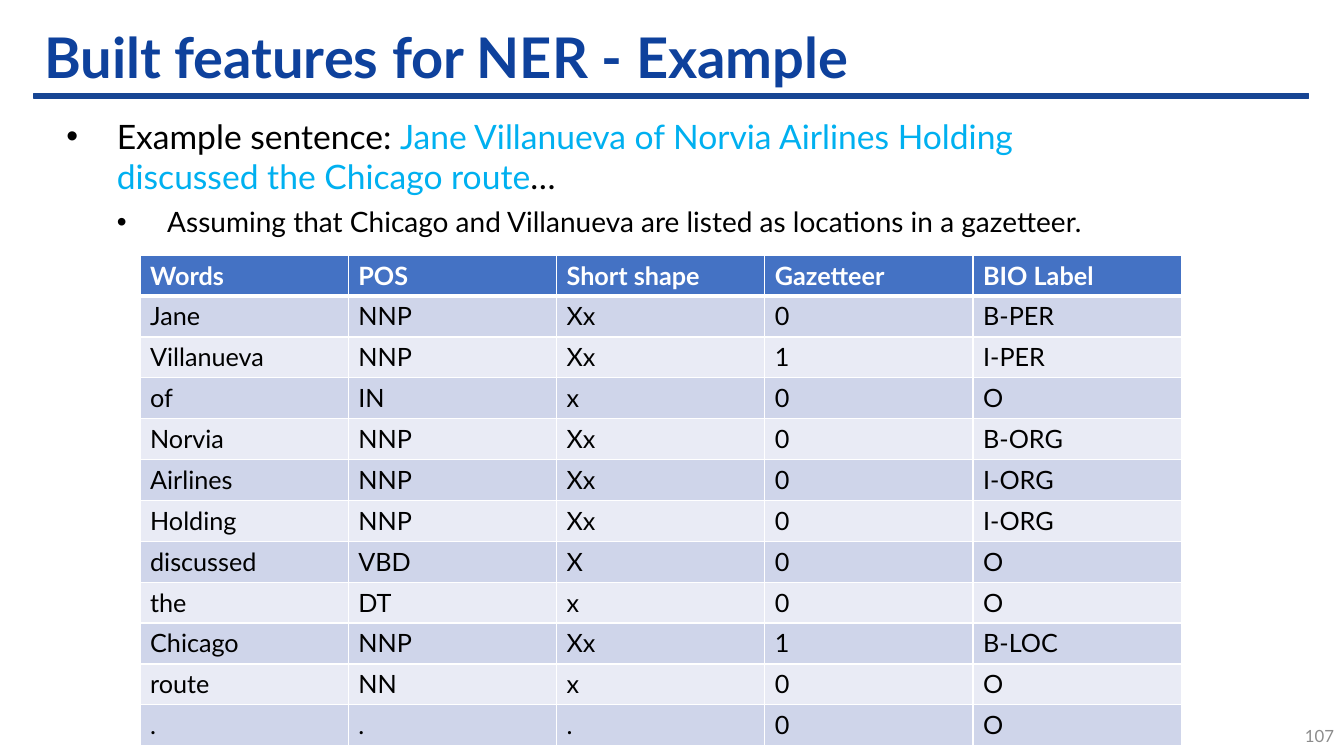
from lxml import etree
from pptx import Presentation
from pptx import util as u
from pptx.dml.color import RGBColor
from pptx.enum import shapes, text
from pptx.oxml.ns import qn

FONT = "Lato"
TITLE_BLUE = RGBColor(0x0E, 0x41, 0x9C)
RULE_BLUE = RGBColor(0x17, 0x45, 0x93)
SENTENCE_BLUE = RGBColor(0x00, 0xB0, 0xF0)
HEADER_BLUE = RGBColor(0x44, 0x72, 0xC4)
BANDS = (RGBColor(0xCF, 0xD5, 0xEA), RGBColor(0xE9, 0xEB, 0xF5))
GREY = RGBColor(0x8C, 0x8C, 0x8C)
BLACK = RGBColor(0, 0, 0)
WHITE = RGBColor(0xFF, 0xFF, 0xFF)

FEATURES = [
    ("Words", "POS", "Short shape", "Gazetteer", "BIO Label"),
    ("Jane", "NNP", "Xx", "0", "B-PER"),
    ("Villanueva", "NNP", "Xx", "1", "I-PER"),
    ("of", "IN", "x", "0", "O"),
    ("Norvia", "NNP", "Xx", "0", "B-ORG"),
    ("Airlines", "NNP", "Xx", "0", "I-ORG"),
    ("Holding", "NNP", "Xx", "0", "I-ORG"),
    ("discussed", "VBD", "X", "0", "O"),
    ("the", "DT", "x", "0", "O"),
    ("Chicago", "NNP", "Xx", "1", "B-LOC"),
    ("route", "NN", "x", "0", "O"),
    (".", ".", ".", "0", "O"),
]

SENTENCE = [
    ("Example sentence: ", BLACK),
    ("Jane Villanueva of Norvia Airlines Holding discussed the Chicago route",
     SENTENCE_BLUE),
    ("…", BLACK),
]
ASSUMPTION = [
    ("Assuming that Chicago and Villanueva are listed as locations in a gazetteer.",
     BLACK),
]


def place(part, left, top, width, height):
    part.left, part.top = u.Cm(left), u.Cm(top)
    part.width, part.height = u.Cm(width), u.Cm(height)


def add_run(paragraph, words, size, color, bold=False):
    run = paragraph.add_run()
    run.text = words
    run.font.name = FONT
    run.font.size = u.Pt(size)
    run.font.bold = bold
    run.font.color.rgb = color


def set_bullet(paragraph, indent):
    props = paragraph._p.get_or_add_pPr()
    props.set("marL", str(u.Cm(indent)))
    props.set("indent", str(u.Cm(-1.27)))
    etree.SubElement(props, qn("a:buFont")).set("typeface", "Arial")
    etree.SubElement(props, qn("a:buChar")).set("char", "•")


def set_borders(cell, bottom_width):
    props = cell._tc.get_or_add_tcPr()
    for side, width in (("L", 1), ("R", 1), ("T", 1), ("B", bottom_width)):
        line = etree.SubElement(props, qn(f"a:ln{side}"), w=str(u.Pt(width)))
        fill = etree.SubElement(line, qn("a:solidFill"))
        etree.SubElement(fill, qn("a:srgbClr")).set("val", str(WHITE))


def build_heading(slide, left, top, width, height):
    # Rule along the lower edge of the title
    rule = slide.shapes.add_shape(
        shapes.MSO_SHAPE.RECTANGLE,
        u.Cm(left), u.Cm(top + height), u.Cm(width), u.Cm(0.13))
    rule.shadow.inherit = False
    rule.fill.solid()
    rule.fill.fore_color.rgb = RULE_BLUE
    rule.line.color.rgb = RULE_BLUE
    rule.line.width = u.Pt(1)

    # Title
    title = slide.shapes.title
    place(title, left, top, width, height)
    frame = title.text_frame
    frame.auto_size = text.MSO_AUTO_SIZE.NONE
    frame.vertical_anchor = text.MSO_ANCHOR.MIDDLE
    heading = frame.paragraphs[0]
    heading.alignment = text.PP_ALIGN.LEFT
    heading.line_spacing = 0.9
    add_run(heading, "Built features for NER - Example", 40, TITLE_BLUE, True)


def build_sentence(slide, left, top, width, height):
    body = slide.placeholders[1]
    place(body, left, top, width, height)
    frame = body.text_frame
    frame.word_wrap = True
    frame.auto_size = text.MSO_AUTO_SIZE.SHAPE_TO_FIT_TEXT
    frame.vertical_anchor = text.MSO_ANCHOR.TOP
    points = (frame.paragraphs[0], frame.add_paragraph())
    for level, (point, runs, size) in enumerate(
            zip(points, (SENTENCE, ASSUMPTION), (24, 20))):
        point.level = level
        point.space_before = u.Pt(0)
        point.space_after = u.Pt(6)
        set_bullet(point, 1.27 * (level + 1))
        for words, color in runs:
            add_run(point, words, size, color)


def build_features(slide, left, top, width, height):
    rows, columns = len(FEATURES), len(FEATURES[0])
    table = slide.shapes.add_table(
        rows, columns, u.Cm(left), u.Cm(top), u.Cm(width), u.Cm(height)).table
    for r, values in enumerate(FEATURES):
        header = r == 0
        for c, value in enumerate(values):
            cell = table.cell(r, c)
            set_borders(cell, 3 if header else 1)
            cell.fill.solid()
            cell.fill.fore_color.rgb = HEADER_BLUE if header else BANDS[(r - 1) % 2]
            add_run(cell.text_frame.paragraphs[0], value, 18,
                    WHITE if header else BLACK, header)


def build_page_number(slide, left, top, width, height):
    number = slide.shapes.add_textbox(
        u.Cm(left), u.Cm(top), u.Cm(width), u.Cm(height))
    frame = number.text_frame
    frame.word_wrap = True
    frame.vertical_anchor = text.MSO_ANCHOR.MIDDLE
    frame.paragraphs[0].alignment = text.PP_ALIGN.RIGHT
    add_run(frame.paragraphs[0], "107", 12, GREY)


def main():
    deck = Presentation()
    deck.slide_width, deck.slide_height = u.Cm(33.87), u.Cm(19.05)
    slide = deck.slides.add_slide(deck.slide_layouts[1])
    build_heading(slide, 0.86, 0.66, 32.11, 1.7)
    build_page_number(slide, 32.17, 18.03, 1.7, 1.02)
    build_sentence(slide, 1.42, 2.79, 26.24, 3.38)
    build_features(slide, 3.53, 6.43, 26.24, 12.37)
    deck.save("out.pptx")


if __name__ == "__main__":
    main()
